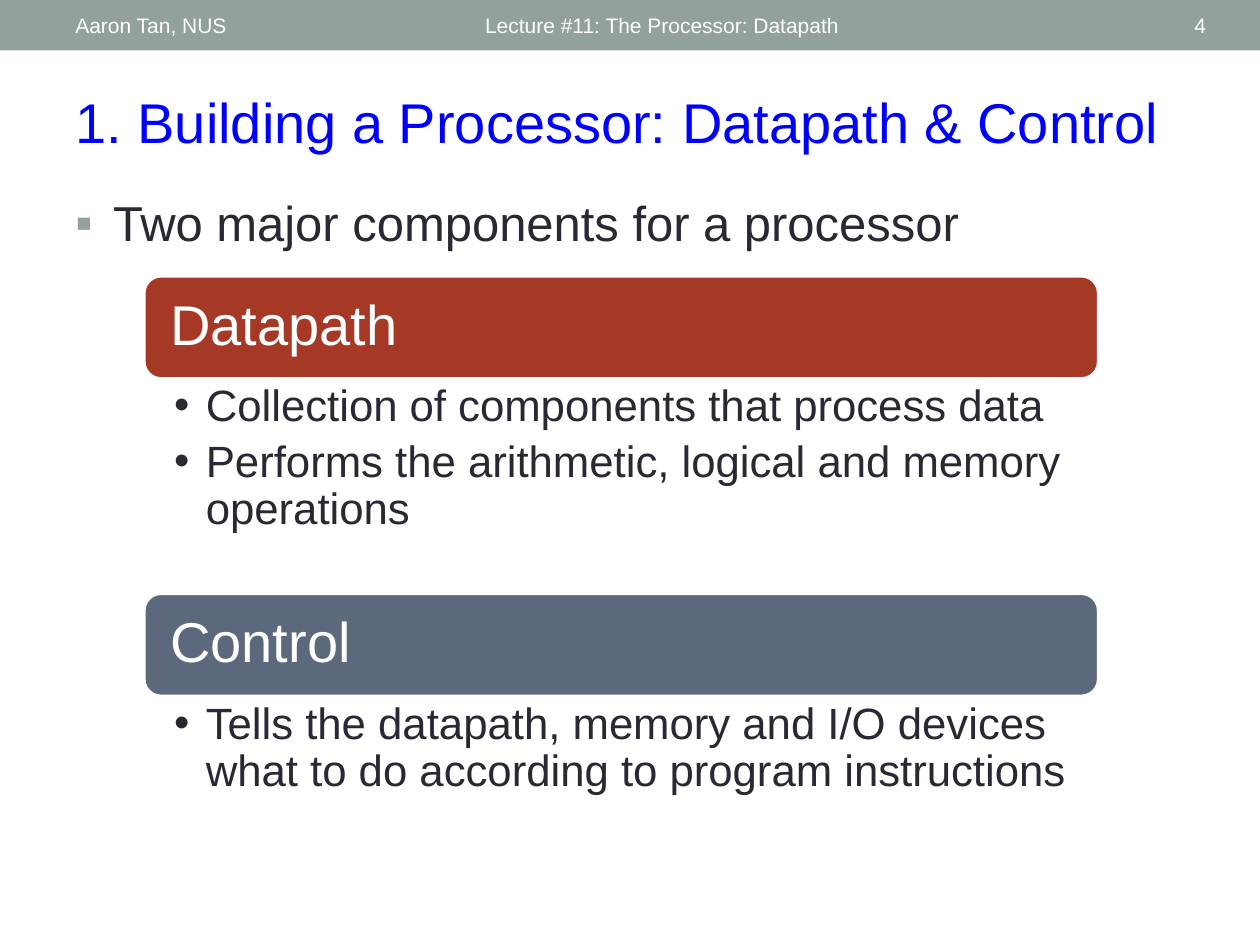
from lxml.etree import SubElement
from pptx import Presentation
from pptx.dml.color import RGBColor
from pptx.enum.shapes import MSO_SHAPE
from pptx.enum.text import MSO_ANCHOR, PP_ALIGN
from pptx.oxml.ns import qn
from pptx.util import Cm, Pt

SAGE = RGBColor(0x93, 0xA2, 0x99)
BLUE = RGBColor(0x00, 0x00, 0xFF)
INK = RGBColor(0x29, 0x29, 0x34)
RUST = RGBColor(0xA5, 0x39, 0x26)
SLATE = RGBColor(0x5C, 0x69, 0x7C)
WHITE = RGBColor(0xFF, 0xFF, 0xFF)


class Deck:
    font = "Arial"
    pad = (0.25, 0.13, 0.25, 0.13)

    def __init__(self, wide, high):
        self.prs = Presentation()
        self.prs.slide_width, self.prs.slide_height = Cm(wide), Cm(high)
        self.slide = self.prs.slides.add_slide(self.prs.slide_layouts[6])

    def block(self, kind, area, fill, line=None):
        shape = self.slide.shapes.add_shape(kind, *map(Cm, area))
        shape.shadow.inherit = False
        shape.fill.solid()
        shape.fill.fore_color.rgb = fill
        if line is None:
            shape.line.fill.background()
        else:
            shape.line.color.rgb = line
            shape.line.width = Pt(2.08)
        return shape

    def frame(self, shape, pad, anchor):
        frame = shape.text_frame
        frame.word_wrap = True
        frame.vertical_anchor = anchor
        (frame.margin_left, frame.margin_top,
         frame.margin_right, frame.margin_bottom) = map(Cm, pad)
        return frame

    def words(self, para, text, size, color, align=PP_ALIGN.LEFT):
        para.alignment = align
        run = para.add_run()
        run.text = text
        run.font.name = self.font
        run.font.size = Pt(size)
        run.font.color.rgb = color

    def bullet(self, para, mark, indent, color):
        props = para._p.get_or_add_pPr()
        props.set("marL", str(Cm(indent)))
        props.set("indent", str(-Cm(indent)))
        tint = SubElement(props, qn("a:buClr"))
        SubElement(tint, qn("a:srgbClr"), val=str(color))
        SubElement(props, qn("a:buFont"), typeface=self.font)
        SubElement(props, qn("a:buChar"), char=mark)

    def label(self, area, text, size, color, align=PP_ALIGN.LEFT, anchor=MSO_ANCHOR.TOP):
        box = self.slide.shapes.add_textbox(*map(Cm, area))
        para = self.frame(box, self.pad, anchor).paragraphs[0]
        self.words(para, text, size, color, align)
        return para

    def banner(self, area, text, fill):
        shape = self.block(MSO_SHAPE.ROUNDED_RECTANGLE, area, fill, WHITE)
        para = self.frame(shape, (0.43,) * 4, MSO_ANCHOR.MIDDLE).paragraphs[0]
        para.line_spacing = 0.9
        self.words(para, text, 32, WHITE)

    def points(self, area, items):
        box = self.slide.shapes.add_textbox(*map(Cm, area))
        frame = self.frame(box, (0.61, 0.1, 0.64, 0.1), MSO_ANCHOR.TOP)
        for num, text in enumerate(items):
            para = frame.add_paragraph() if num else frame.paragraphs[0]
            self.bullet(para, "•", 0.64, INK)
            para.line_spacing = 0.9
            para.space_after = Pt(5)
            self.words(para, text, 25, INK)


def main():
    deck = Deck(25.4, 19.05)
    deck.block(MSO_SHAPE.RECTANGLE, (0, 0, 25.4, 1.02), SAGE)
    for left, width, text, align in (
        (9.53, 11.43, "Lecture #11: The Processor: Datapath", PP_ALIGN.LEFT),
        (1.27, 8.05, "Aaron Tan, NUS", PP_ALIGN.LEFT),
        (22.15, 2.41, "4", PP_ALIGN.RIGHT),
    ):
        deck.label((left, 0.05, width, 0.91), text, 12, WHITE, align, MSO_ANCHOR.MIDDLE)

    deck.label((1.27, 1.63, 22.86, 1.63), "1. Building a Processor: Datapath & Control", 32, BLUE)
    lead = deck.label((1.27, 3.76, 22.58, 2.41), "Two major components for a processor", 28, INK)
    deck.bullet(lead, "▪", 0.76, SAGE)

    left, width, bar = 2.9, 19.25, 2.08
    for top, high, head, fill, items in (
        (5.56, 4.32, "Datapath", RUST, (
            "Collection of components that process data",
            "Performs the arithmetic, logical and memory operations",
        )),
        (11.96, 2.06, "Control", SLATE, (
            "Tells the datapath, memory and I/O devices what to do according to program instructions",
        )),
    ):
        deck.banner((left, top, width, bar), head, fill)
        deck.points((left, top + bar, width, high), items)

    deck.prs.save("out.pptx")


if __name__ == "__main__":
    main()
